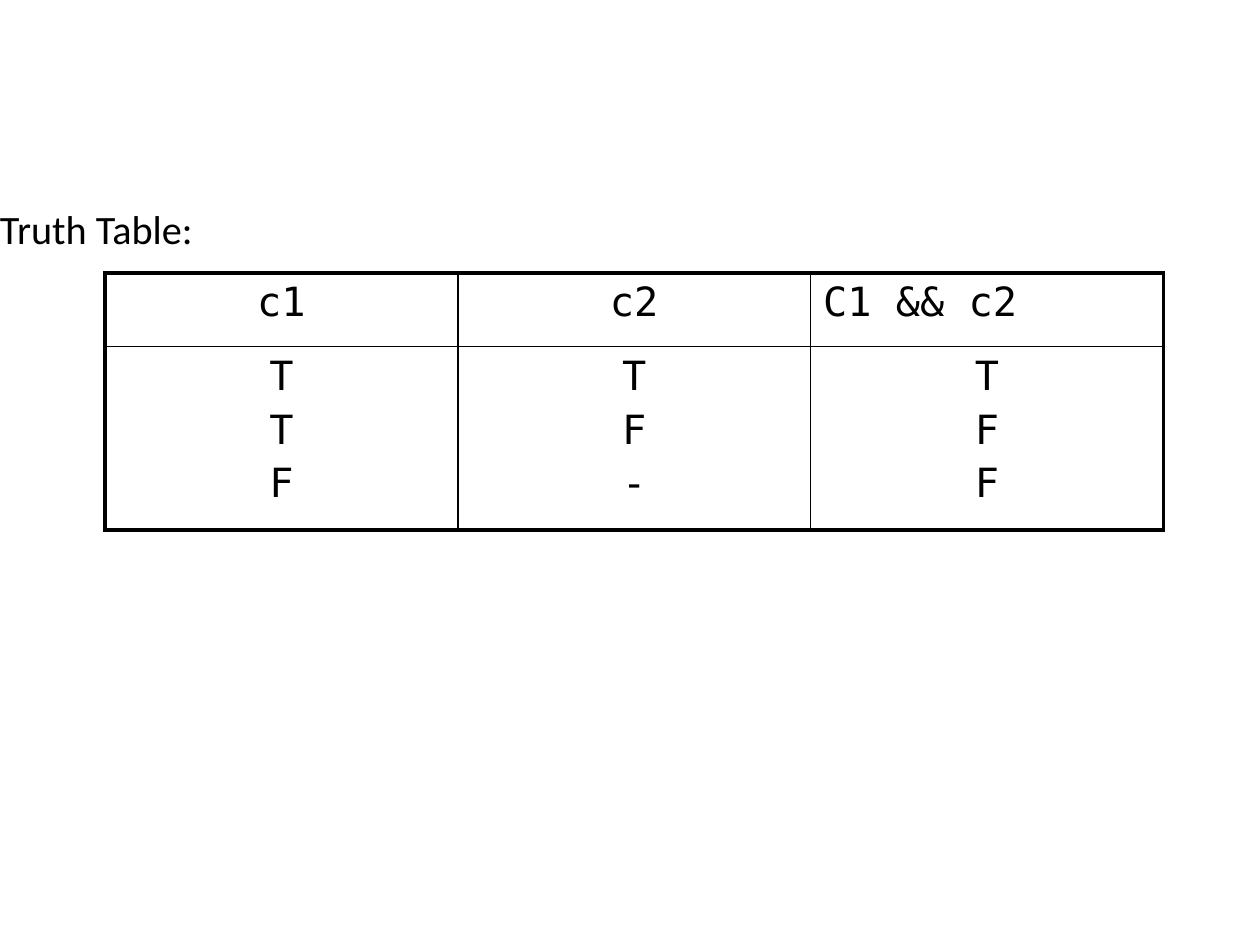
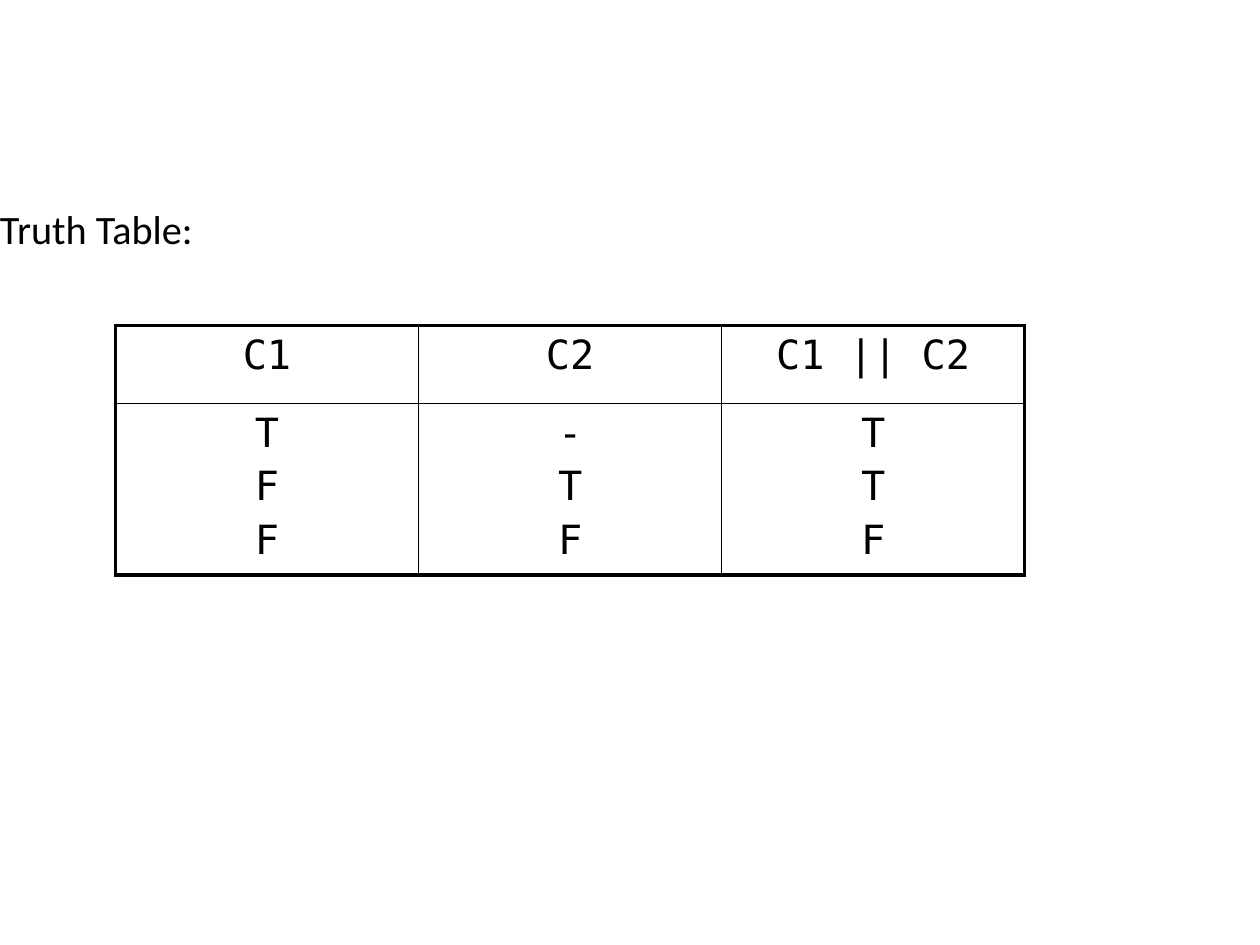
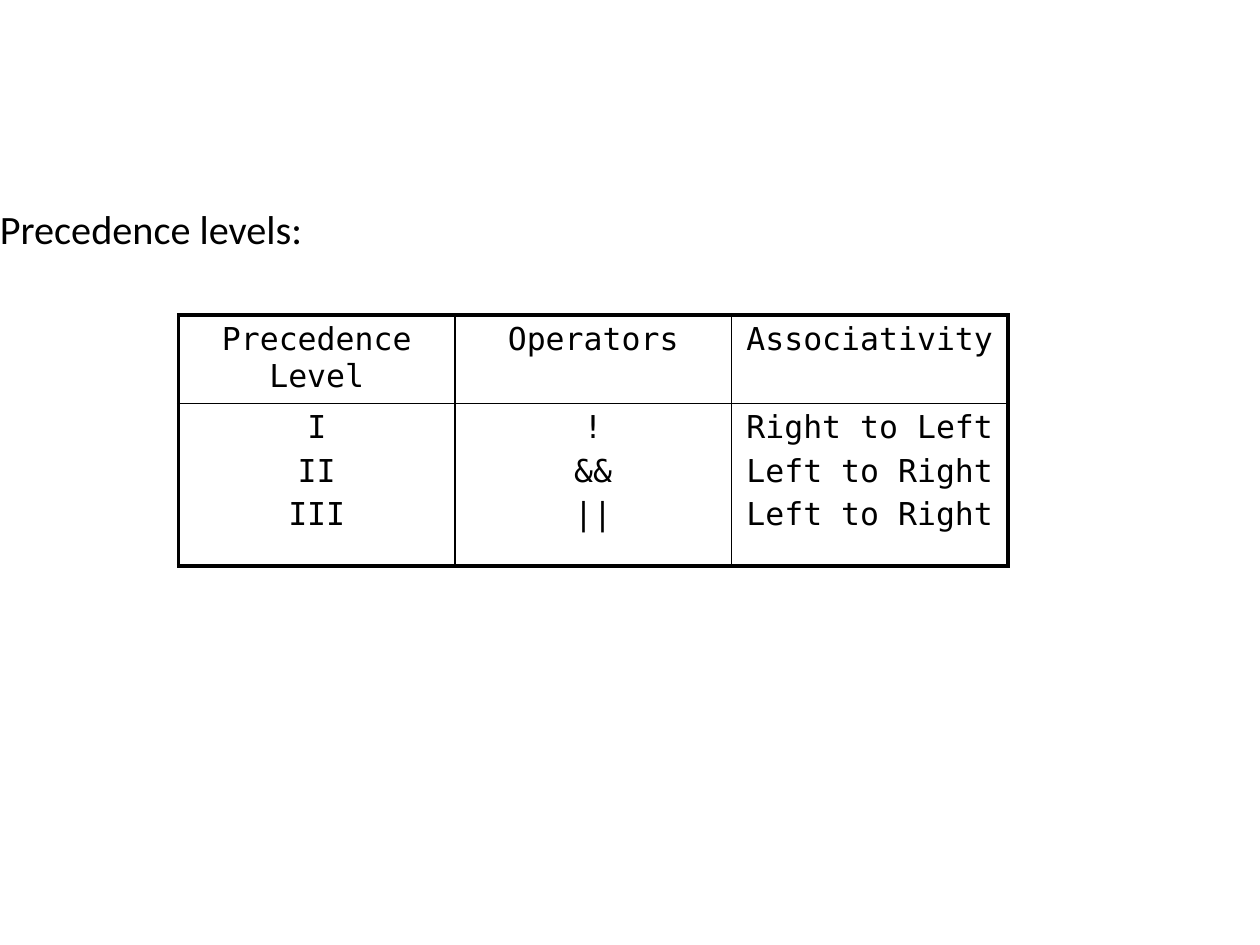
from lxml.etree import SubElement
from pptx import Presentation
from pptx.dml.color import RGBColor
from pptx.enum.text import PP_ALIGN
from pptx.oxml.ns import qn
from pptx.util import Pt

BLACK = RGBColor(0x00, 0x00, 0x00)
TEXT_FONT = "Calibri"
CODE_FONT = "DejaVu Sans Mono"
OUTER, INNER = Pt(2.25), Pt(1)


def write_text(frame, text, *, font, size, align=PP_ALIGN.LEFT, before=0):
    """Fill a text frame, one paragraph for each line of text."""
    for number, line in enumerate(text.split("\n")):
        paragraph = frame.add_paragraph() if number else frame.paragraphs[0]
        paragraph.alignment = align
        paragraph.space_before = Pt(before)
        run = paragraph.add_run()
        run.text = line
        run.font.name = font
        run.font.size = Pt(size)
        run.font.color.rgb = BLACK


def set_borders(cell, **widths):
    """Draw the cell's edges; they must precede the fill in the XML."""
    properties = cell._tc.get_or_add_tcPr()
    for position, side in enumerate("LRTB"):
        edge = SubElement(properties, qn(f"a:ln{side}"), w=str(widths[side]))
        fill = SubElement(edge, qn("a:solidFill"))
        SubElement(fill, qn("a:srgbClr"), val=str(BLACK))
        properties.insert(position, edge)


class Deck:
    """Holds the shared style and the current slide."""

    def __init__(self):
        self.presentation = Presentation()
        self.presentation.slide_width = Pt(720)
        self.presentation.slide_height = Pt(540)
        self.slide = None

    def start_slide(self, heading):
        blank = self.presentation.slide_layouts[6]
        self.slide = self.presentation.slides.add_slide(blank)
        self.add_heading(heading)

    def add_heading(self, heading):
        box = self.slide.shapes.add_textbox(Pt(0), Pt(116.6), Pt(318), Pt(356.4))
        frame = box.text_frame
        frame.word_wrap = True
        frame.margin_left = frame.margin_right = 0
        frame.margin_top = frame.margin_bottom = 0
        write_text(frame, heading, font=TEXT_FONT, size=23)

    def add_grid(self, rows, *, left, top, column_width, row_heights,
                 size=23, left_aligned=()):
        """Add a ruled table; left_aligned lists (row, column) exceptions."""
        last_row, last_column = len(rows) - 1, len(rows[0]) - 1
        table = self.slide.shapes.add_table(
            len(rows), len(rows[0]), Pt(left), Pt(top),
            Pt(column_width * len(rows[0])), Pt(sum(row_heights))).table
        table.first_row = table.horz_banding = False
        for column in table.columns:
            column.width = Pt(column_width)
        for r, (texts, height) in enumerate(zip(rows, row_heights)):
            table.rows[r].height = Pt(height)
            for c, text in enumerate(texts):
                cell = table.cell(r, c)
                cell.fill.background()
                align = PP_ALIGN.LEFT if (r, c) in left_aligned else PP_ALIGN.CENTER
                write_text(cell.text_frame, text, font=CODE_FONT, size=size,
                           align=align, before=4)
                set_borders(cell,
                            L=INNER if c else OUTER,
                            R=INNER if c < last_column else OUTER,
                            T=INNER if r else OUTER,
                            B=INNER if r < last_row else OUTER)


def main():
    deck = Deck()

    # Logical AND
    deck.start_slide("Truth Table:")
    deck.add_grid([["c1", "c2", "C1 && c2"],
                   ["T\nT\nF", "T\nF\n-", "T\nF\nF"]],
                  left=60, top=156, column_width=201.6,
                  row_heights=(42, 105), left_aligned={(0, 2)})

    # Logical OR
    deck.start_slide("Truth Table:")
    deck.add_grid([["C1", "C2", "C1 || C2"],
                   ["T\nF\nF", "-\nT\nF", "T\nT\nF"]],
                  left=66, top=186, column_width=173.2,
                  row_heights=(44.5, 98))

    # Operator precedence
    deck.start_slide("Precedence levels:")
    deck.add_grid([["Precedence Level", "Operators", "Associativity"],
                   ["I\nII\nIII", "!\n&&\n||",
                    "Right to Left\nLeft to Right\nLeft to Right"]],
                  left=102, top=180, column_width=158,
                  row_heights=(50.5, 93), size=18)

    deck.presentation.save("out.pptx")


if __name__ == "__main__":
    main()
